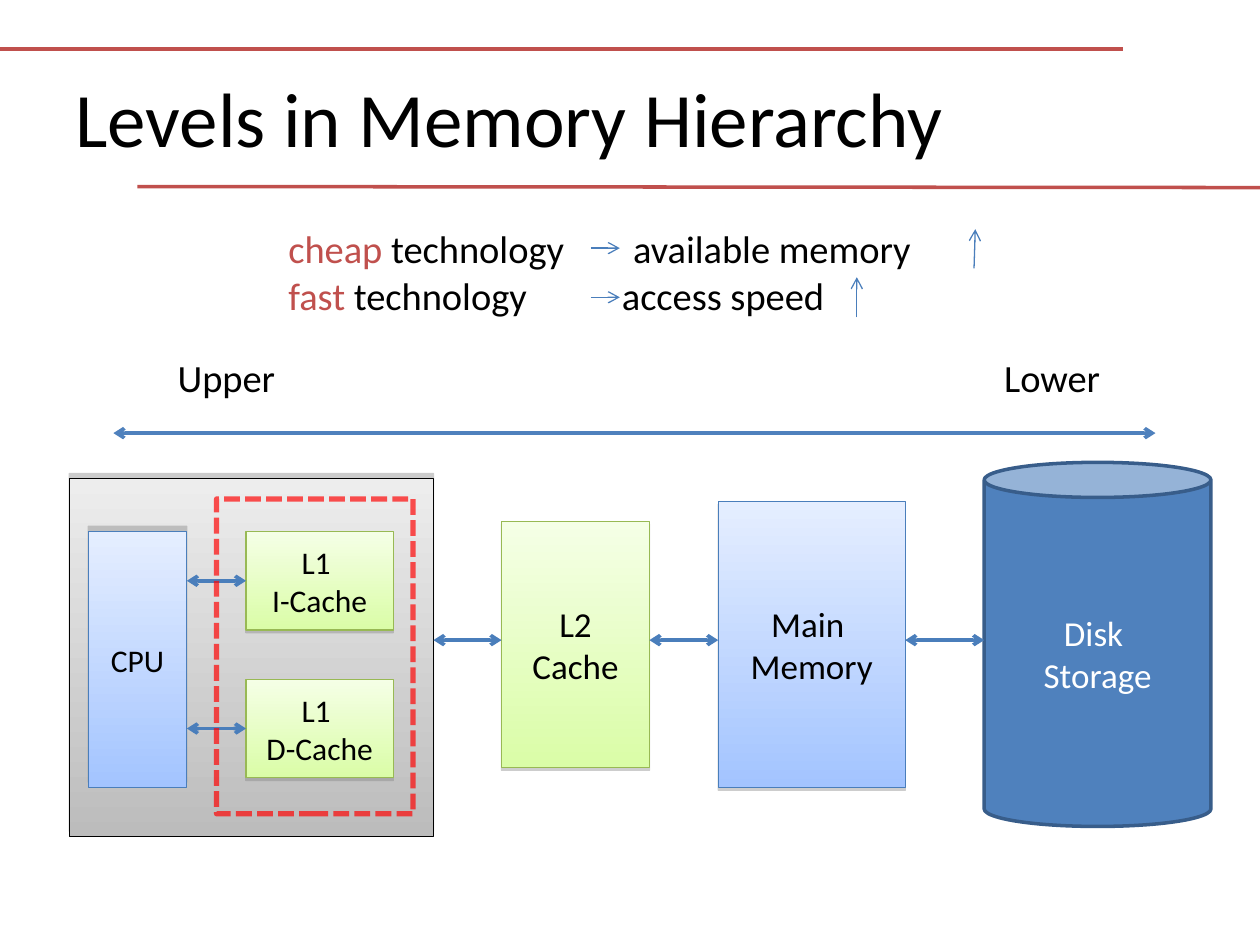
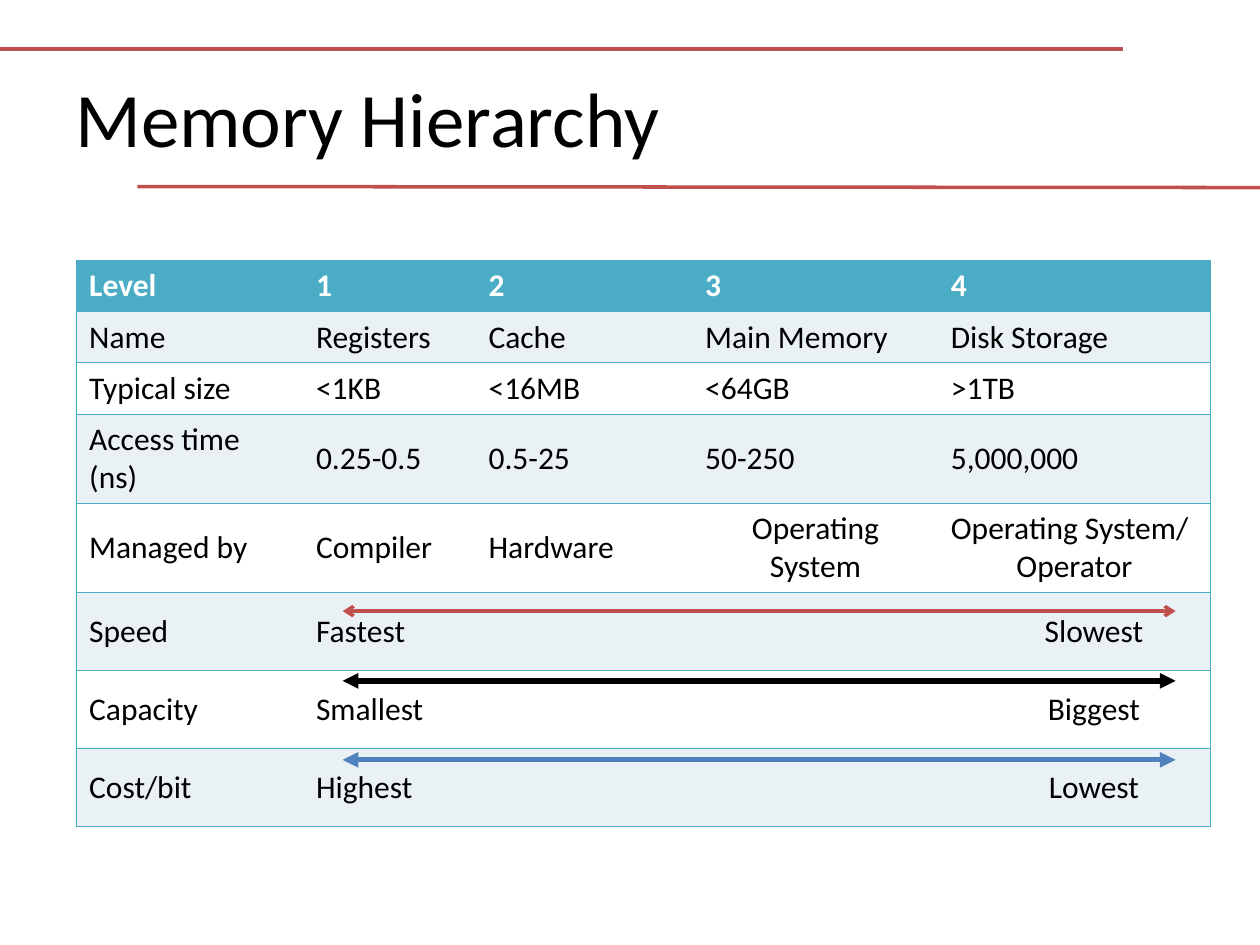
from dataclasses import dataclass
from typing import Optional

from pptx import Presentation
from pptx.dml.color import RGBColor
from pptx.enum import dml, shapes, text
from pptx.oxml import ns, xmlchemy
from pptx.util import Pt


@dataclass(frozen=True)
class Theme:
    font: str = "Calibri"
    title: float = 44
    label: float = 22
    box: float = 20
    small: float = 18
    black: str = "000000"
    white: str = "FFFFFF"
    red: str = "C0504D"
    blue: str = "4F81BD"
    arrow: str = "4A7EBB"
    disk_edge: str = "385D8A"
    cache_edge: str = "98B954"
    dash: str = "FF0000"
    shadow: str = "808080"
    teal: str = "4BACC6"
    band: str = "E9F1F5"
    grey_fade: tuple = ("EDEDED", "BCBCBC")
    blue_fade: tuple = ("E5EEFF", "A3C4FF")
    green_fade: tuple = ("F5FFE6", "DAFDA7")


THEME = Theme()


@dataclass(frozen=True)
class Shadow:
    alpha: int
    distance: float
    angle: int


RAISED = Shadow(40, 3, 270)
DROPPED = Shadow(38, 1.6, 90)


@dataclass(frozen=True)
class Box:
    label: str
    left: float
    top: float
    width: float
    height: float
    fade: tuple
    edge: str
    shadow: Shadow
    size: float = THEME.box
    wrap: bool = True


@dataclass(frozen=True)
class Line:
    x1: float
    y1: float
    x2: float
    y2: float
    color: str = THEME.arrow
    width: float = 2
    head: Optional[str] = None
    tail: Optional[str] = None


RULES = (Line(0, 28.1, 641.5, 28.1, THEME.red),
         Line(78.5, 106.6, 720, 107.2, THEME.red))

CHIP = Box("", 39.6, 273.6, 208.1, 204.5, THEME.grey_fade, THEME.black, RAISED)
MEMORY = Box("Main \nMemory", 410.4, 286.6, 106.9, 163.4, THEME.blue_fade, THEME.arrow, DROPPED)
L2 = Box("L2\nCache", 286.6, 298, 84.5, 140.6, THEME.green_fade, THEME.cache_edge, DROPPED)
CPU = Box("CPU", 50.4, 303.8, 56.4, 146.2, THEME.blue_fade, THEME.arrow, RAISED, THEME.small)
L1_CACHES = [Box(f"L1 \n{kind}-Cache", 140.6, top, 84.2, 56.2, THEME.green_fade,
                 THEME.cache_edge, DROPPED, THEME.small, False)
             for kind, top in (("I", 303.8), ("D", 388.2))]
DISK_LEFT = 562.4
BUS_Y = 365.8

COLUMNS = (129.6, 98.6, 123.8, 140.4, 155.6)
ROW_HEIGHTS = (29.2,) * 3 + (29.2 - 7.4 + 29.2,) * 2 + (44.6,) * 3
ROWS = (
    ("Level", "1", "2", "3", "4"),
    ("Name", "Registers", "Cache", "Main Memory", "Disk Storage"),
    ("Typical size", "<1KB", "<16MB", "<64GB", ">1TB"),
    ("Access time (ns)", "0.25-0.5", "0.5-25", "50-250", "5,000,000"),
    ("Managed by", "Compiler", "Hardware", "Operating System", "Operating System/\nOperator"),
    ("Speed", "Fastest\tSlowest"),
    ("Capacity", "Smallest\tBiggest"),
    ("Cost/bit", "Highest\tLowest"),
)
ROW_HEIGHTS = (29.2,) * 3 + (51,) * 2 + (44.6,) * 3
NO_STYLE = "{2D5ABB26-0587-4C30-8999-92F81FD0307C}"


def rgb(color: str) -> RGBColor:
    return RGBColor.from_string(color)


def add_child(parent, tag: str, **attributes):
    child = parent.makeelement(ns.qn(tag), {k: str(v) for k, v in attributes.items()})
    parent.append(child)
    return child


def style_run(r, size: float, color: str, bold: bool = False) -> None:
    r.font.name = THEME.font
    r.font.size = Pt(size)
    r.font.color.rgb = rgb(color)
    r.font.bold = bold


def write(tf, value: str, size: float, color: str = THEME.black,
          align=text.PP_ALIGN.LEFT, bold: bool = False) -> None:
    tf.text = value
    for p in tf.paragraphs:
        p.alignment = align
        for r in p.runs:
            style_run(r, size, color, bold)


def add_tab(p, position: float, align: str) -> None:
    stops = add_child(p._p.get_or_add_pPr(), "a:tabLst")
    add_child(stops, "a:tab", pos=int(Pt(position)), algn=align)


def add_text(slide, left: float, top: float, width: float, height: float,
             value: str, size: float, inset: bool = True):
    s = slide.shapes.add_textbox(Pt(left), Pt(top), Pt(width), Pt(height))
    tf = s.text_frame
    tf.word_wrap = True
    tf.vertical_anchor = text.MSO_ANCHOR.MIDDLE
    if not inset:
        tf.margin_left = tf.margin_right = tf.margin_top = tf.margin_bottom = 0
    write(tf, value, size)
    return s


def add_line(slide, line: Line):
    c = slide.shapes.add_connector(shapes.MSO_CONNECTOR.STRAIGHT, Pt(line.x1), Pt(line.y1),
                                   Pt(line.x2), Pt(line.y2))
    c.line.color.rgb = rgb(line.color)
    c.line.width = Pt(line.width)
    sp_pr = c._element.spPr
    ln = sp_pr.find(ns.qn("a:ln"))
    for tag, kind in (("a:headEnd", line.head), ("a:tailEnd", line.tail)):
        if kind:
            add_child(ln, tag, type=kind)
    add_child(sp_pr, "a:effectLst")
    return c


def two_way(x1: float, x2: float, y: float, color: str = THEME.arrow,
            width: float = 2, end: str = "arrow") -> Line:
    return Line(x1, y, x2, y, color, width, end, end)


def add_preset(slide, kind, left: float, top: float, width: float, height: float,
               edge: str, weight: float):
    s = slide.shapes.add_shape(kind, Pt(left), Pt(top), Pt(width), Pt(height))
    s.line.color.rgb = rgb(edge)
    s.line.width = Pt(weight)
    s.shadow.inherit = False
    return s


def add_box(slide, box: Box):
    s = add_preset(slide, shapes.MSO_SHAPE.RECTANGLE, box.left, box.top, box.width,
                   box.height, box.edge, 0.75)
    s.fill.gradient()
    s.fill.gradient_angle = 270
    for stop, color in zip(s.fill.gradient_stops, box.fade):
        stop.color.rgb = rgb(color)
    effects = s._element.spPr.find(ns.qn("a:effectLst"))
    shadow = add_child(effects, "a:outerShdw", blurRad=0, dist=int(Pt(box.shadow.distance)),
                       dir=box.shadow.angle * 60000, algn="ctr", rotWithShape=0)
    color = add_child(shadow, "a:srgbClr", val=THEME.shadow)
    add_child(color, "a:alpha", val=box.shadow.alpha * 1000)
    if box.label:
        s.text_frame.word_wrap = box.wrap
        s.text_frame.vertical_anchor = text.MSO_ANCHOR.MIDDLE
        write(s.text_frame, box.label, box.size, align=text.PP_ALIGN.CENTER)
    return s


def add_slide(prs, title: str):
    slide = prs.slides.add_slide(prs.slide_layouts[6])
    for rule in RULES:
        add_line(slide, rule)
    add_text(slide, 36, 21.6, 648, 90, title, THEME.title)
    return slide


def add_trade_offs(slide) -> None:
    s = slide.shapes.add_textbox(Pt(157.7), Pt(125.3), Pt(405.4), Pt(60.5))
    tf = s.text_frame
    tf.word_wrap = True
    tf.text = "\n"
    trade_offs = (("cheap", "available memory", 197), ("fast", "access speed", 190.6))
    for p, (trait, gain, stop) in zip(tf.paragraphs, trade_offs):
        for value, color in ((trait, THEME.red), (f" technology\t{gain}", THEME.black)):
            r = p.add_run()
            r.text = value
            style_run(r, THEME.label, color)
        add_tab(p, stop, "l")
    for x1, y1, x2, y2 in ((337.7, 141.8, 354.2, 141.8), (337.7, 169.9, 354.2, 169.9),
                           (556.6, 153.4, 557.3, 131), (489.6, 181.4, 489.6, 158.4)):
        add_line(slide, Line(x1, y1, x2, y2, width=0.75, tail="arrow"))


def add_disk(slide) -> None:
    s = add_preset(slide, shapes.MSO_SHAPE.CAN, DISK_LEFT, 264.2, 129.6, 208.1,
                   THEME.disk_edge, 2)
    s.adjustments[0] = 0.155
    s.fill.solid()
    s.fill.fore_color.rgb = rgb(THEME.blue)
    s.text_frame.vertical_anchor = text.MSO_ANCHOR.MIDDLE
    write(s.text_frame, "Disk \nStorage", THEME.box, THEME.white, text.PP_ALIGN.CENTER)


def add_l1_outline(slide) -> None:
    s = add_preset(slide, shapes.MSO_SHAPE.RECTANGLE, 123.8, 285.1, 112.3, 180, THEME.dash, 3)
    s.fill.background()
    s.line.dash_style = dml.MSO_LINE.SQUARE_DOT
    add_child(s._element.spPr.find(".//" + ns.qn("a:srgbClr")), "a:alpha", val=68000)


def build_levels(prs) -> None:
    slide = add_slide(prs, "Levels in Memory Hierarchy")
    add_trade_offs(slide)
    for label, left in (("Upper", 101.5), ("Lower", 573.8)):
        add_text(slide, left, 202.3, 63, 26.6, label, THEME.label, inset=False)
    add_line(slide, two_way(64.8, 660.3, 247.5, THEME.blue))
    for box in (CHIP, MEMORY, L2, CPU):
        add_box(slide, box)
    add_disk(slide)
    for cache in L1_CACHES:
        s = add_box(slide, cache)
        middle = cache.top + cache.height / 2
        c = add_line(slide, two_way(CPU.left + CPU.width, cache.left, middle))
        c.end_connect(s, 1)
    add_l1_outline(slide)
    for box, right in ((CHIP, L2.left), (L2, MEMORY.left), (MEMORY, DISK_LEFT)):
        add_line(slide, two_way(box.left + box.width, right, BUS_Y))


def style_cell(cell, fill: str, sides: str) -> None:
    cell.vertical_anchor = text.MSO_ANCHOR.MIDDLE
    tc_pr = cell._tc.get_or_add_tcPr()
    for side in sides:
        ln = add_child(tc_pr, f"a:ln{side}", w=int(Pt(0.45)))
        add_child(add_child(ln, "a:solidFill"), "a:srgbClr", val=THEME.teal)
    cell.fill.solid()
    cell.fill.fore_color.rgb = rgb(fill)


def add_level_table(slide) -> None:
    frame = slide.shapes.add_table(len(ROWS), len(COLUMNS), Pt(43.8), Pt(148.9),
                                   Pt(sum(COLUMNS)), Pt(sum(ROW_HEIGHTS)))
    table = frame.table
    table._tbl.tblPr.find(ns.qn("a:tableStyleId")).text = NO_STYLE
    for column, width in zip(table.columns, COLUMNS):
        column.width = Pt(width)
    last = len(COLUMNS) - 1
    for i, (values, height) in enumerate(zip(ROWS, ROW_HEIGHTS)):
        table.rows[i].height = Pt(height)
        header = i == 0
        fill = THEME.teal if header else THEME.band if i % 2 else THEME.white
        spans = len(values) == 2
        if spans:
            table.cell(i, 1).merge(table.cell(i, last))
        for j in range(len(COLUMNS)):
            right = j == last or (spans and j == 1)
            style_cell(table.cell(i, j), fill, ("L" if j == 0 else "") + ("R" if right else "") + "TB")
        for j, value in enumerate(values):
            write(table.cell(i, j).text_frame, value, THEME.small,
                  THEME.white if header else THEME.black, bold=header)
        if spans:
            add_tab(table.cell(i, 1).text_frame.paragraphs[0], 444.5, "ctr")
    for column in (3, 4):
        table.cell(4, column).text_frame.paragraphs[-1].alignment = text.PP_ALIGN.CENTER


def build_comparison(prs) -> None:
    slide = add_slide(prs, "Memory Hierarchy")
    add_level_table(slide)
    for y, color, width, end in ((349.2, THEME.red, 2, "arrow"),
                                 (389.1, THEME.black, 3, "triangle"),
                                 (434.2, THEME.blue, 3, "triangle")):
        add_line(slide, two_way(195.8, 671.8, y, color, width, end))


def main() -> None:
    prs = Presentation()
    prs.slide_width, prs.slide_height = Pt(720), Pt(540)
    build_levels(prs)
    build_comparison(prs)
    prs.save("out.pptx")


if __name__ == "__main__":
    main()
